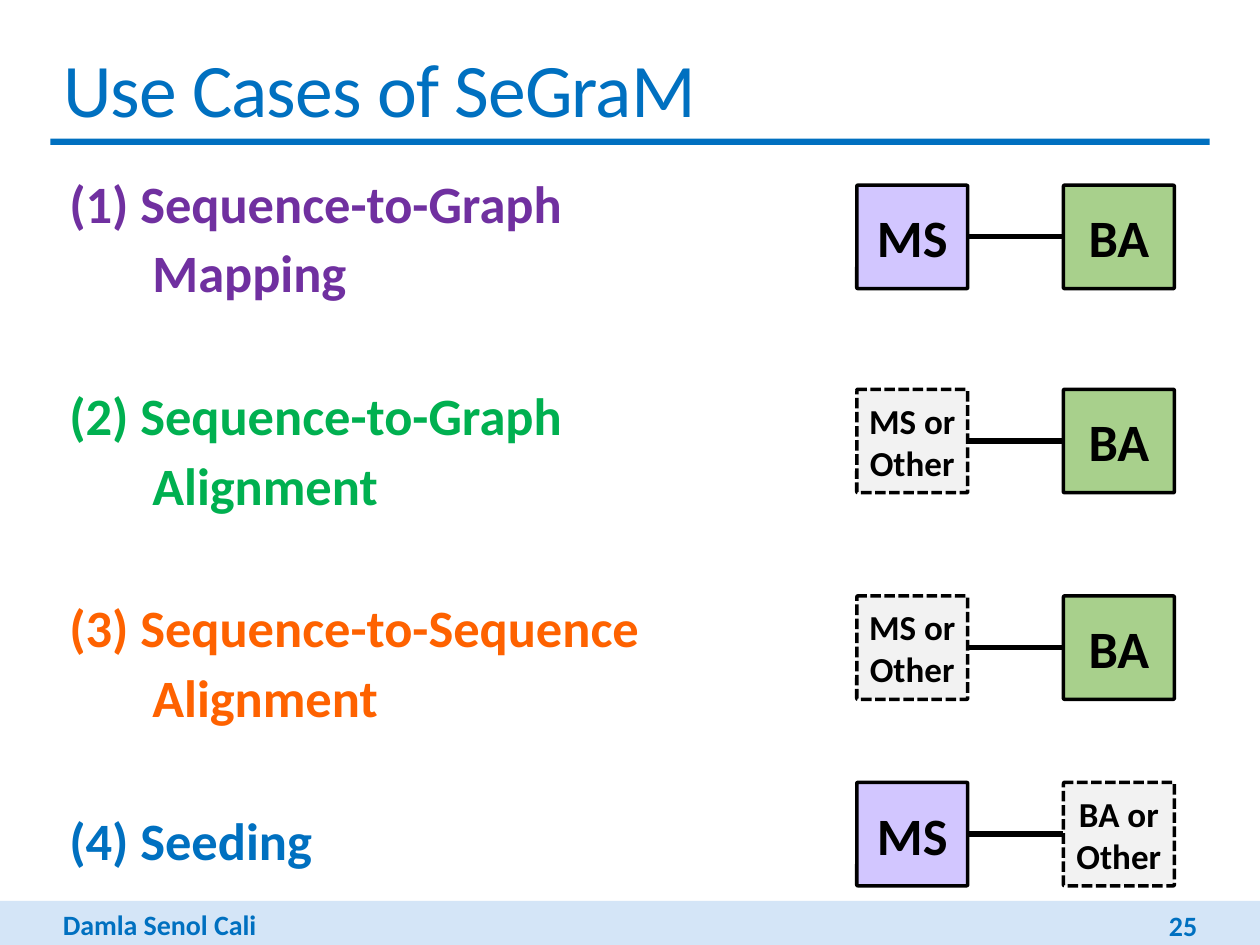
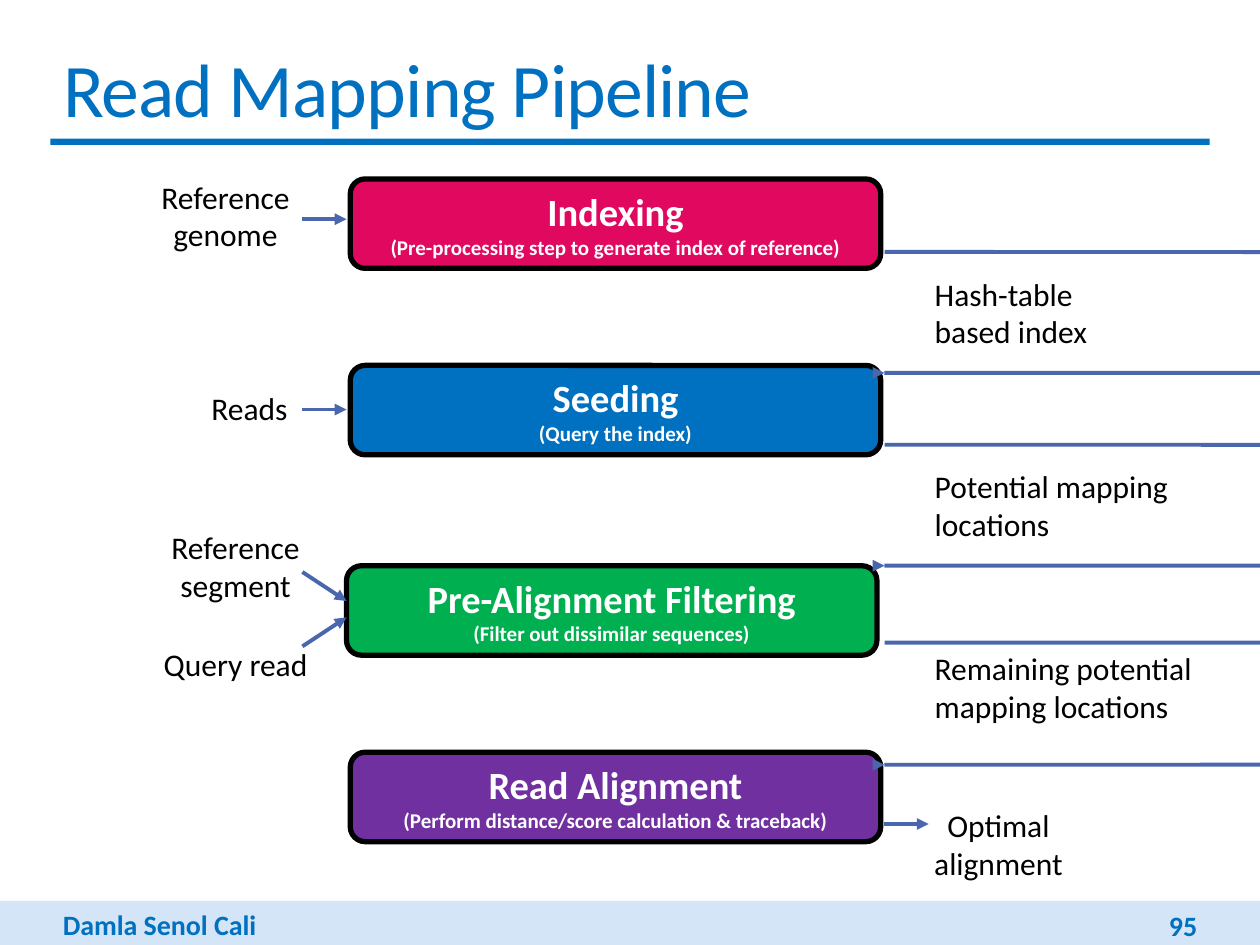
"""Build two slides: use cases of SeGraM and the read mapping pipeline."""
from lxml import etree
from pptx import Presentation
from pptx.dml.color import RGBColor
from pptx.enum.dml import MSO_LINE
from pptx.enum.shapes import MSO_CONNECTOR as CONNECTOR, MSO_SHAPE as SHAPE
from pptx.enum.text import MSO_ANCHOR as ANCHOR, PP_ALIGN as ALIGN
from pptx.oxml.ns import qn
from pptx.util import Emu, Inches, Pt

FONT = "Calibri"
BLACK, WHITE = "000000", "FFFFFF"
BLUE, BAND = "0070C0", "D4E5F7"
PURPLE, GREEN, ORANGE, PINK = "7030A0", "00B050", "FE6200", "E0085F"
LILAC, SAGE, GREY = "D2C6FF", "A8D08C", "F2F2F2"
ARROW = "4A66AC"

USE_CASES = [
    ("(1) Sequence-to-Graph", "Mapping", PURPLE),
    ("(2) Sequence-to-Graph", "Alignment", GREEN),
    ("(3) Sequence-to-Sequence", "Alignment", ORANGE),
    ("(4) Seeding", None, BLUE),
]
UNIT_ROWS = [
    (1.47, "MS", "BA"),
    (3.09, "MS or\nOther", "BA"),
    (4.73, "MS or\nOther", "BA"),
    (6.21, "MS", "BA or\nOther"),
]
UNIT_FILLS = {"MS": LILAC, "BA": SAGE}
UNIT_LEFTS = (6.8, 8.44)
UNIT_WIDTH, UNIT_HEIGHT = 0.88, 0.82

STAGES = [
    (2.78, 1.42, "Indexing", "(Pre-processing step to generate index of reference)", PINK),
    (2.78, 2.9, "Seeding", "(Query the index)", BLUE),
    (2.75, 4.49, "Pre-Alignment Filtering", "(Filter out dissimilar sequences)", GREEN),
    (2.78, 5.97, "Read Alignment", "(Perform distance/score calculation & traceback)", PURPLE),
]
INPUT_LABELS = [
    (1.05, 1.36, "Reference genome"),
    (1.24, 3.04, "Reads"),
    (1.13, 4.14, "Reference\nsegment"),
    (1.13, 5.07, "Query read"),
]
RESULT_LABELS = [
    (2.13, 1.7, "Hash-table based index"),
    (3.66, 2.1, "Potential mapping\nlocations"),
    (5.1, 2.26, "Remaining potential mapping locations"),
]
INPUT_ARROWS = [(1.74, 1.74), (3.25, 3.25), (4.54, 4.77), (5.13, 4.9)]
HANDOVERS = [(2, 2.96), (3.53, 4.49), (5.1, 6.07)]
OUTPUT_X = 7.02
LOOP_WIDTH, LOOP_BULGE = Emu(3), Inches(0.25)


def color(hex_value):
    """Turn a hex string into a colour."""
    return RGBColor.from_string(hex_value)


def style(paragraph, size, hex_value, bold=False, align=ALIGN.LEFT):
    """Set the font and alignment of a paragraph."""
    paragraph.alignment = align
    font = paragraph.font
    font.name, font.size, font.bold = FONT, Pt(size), bold
    font.color.rgb = color(hex_value)


def fill_text(frame, text, size, hex_value, bold=False, align=ALIGN.LEFT, anchor=ANCHOR.TOP):
    """Write text into a frame, one paragraph per line, in one style."""
    frame.word_wrap = True
    frame.vertical_anchor = anchor
    frame.text = text
    for paragraph in frame.paragraphs:
        style(paragraph, size, hex_value, bold, align)


def add_label(slide, box, text, size=18, hex_value=BLACK, **options):
    """Add a text box at (left, top, width, height)."""
    label = slide.shapes.add_textbox(*map(Inches, box))
    fill_text(label.text_frame, text, size, hex_value, **options)


def add_block(slide, kind, box, fill, line_width=0):
    """Add a filled shape, with a black outline if a width is given."""
    block = slide.shapes.add_shape(kind, *map(Inches, box))
    block.shadow.inherit = False
    block.fill.solid()
    block.fill.fore_color.rgb = color(fill)
    if line_width:
        block.line.color.rgb = color(BLACK)
        block.line.width = Pt(line_width)
    else:
        block.line.fill.background()
    return block


def add_line(slide, start, end, hex_value, width, kind=CONNECTOR.STRAIGHT, arrow=False):
    """Connect two points given as lengths, with an optional arrowhead."""
    line = slide.shapes.add_connector(kind, *start, *end)
    line.line.color.rgb = color(hex_value)
    line.line.width = Pt(width)
    if arrow:
        etree.SubElement(line.line._get_or_add_ln(), qn("a:tailEnd"), type="triangle")
    etree.SubElement(line._element.spPr, qn("a:effectLst"))
    return line


def add_arrow(slide, start, end):
    """Add a straight arrow between two points in inches."""
    add_line(slide, map(Inches, start), map(Inches, end), ARROW, 2.25, arrow=True)


def add_handover(slide, top, bottom):
    """Add a curved arrow that leaves a stage and returns to the next one."""
    left = Inches(OUTPUT_X)
    curve = add_line(slide, (left + LOOP_WIDTH, Inches(top)), (left, Inches(bottom)),
                     ARROW, 2.25, CONNECTOR.CURVE, arrow=True)
    geometry = curve._element.spPr.find(qn("a:prstGeom"))
    guides = geometry.find(qn("a:avLst"))
    if guides is None:
        guides = etree.SubElement(geometry, qn("a:avLst"))
    bulge = -LOOP_BULGE * 100000 // LOOP_WIDTH
    etree.SubElement(guides, qn("a:gd"), name="adj1", fmla=f"val {bulge}")


def add_titled_slide(presentation, title_text, number):
    """Add a slide with the shared title, rule and footer."""
    slide = presentation.slides.add_slide(presentation.slide_layouts[5])
    add_block(slide, SHAPE.RECTANGLE, (0, 7.15, 10, 0.41), BAND)
    add_block(slide, SHAPE.RECTANGLE, (0.4, 1.1, 9.2, 0.05), BLUE)
    add_label(slide, (0.4, 7.15, 2.5, 0.37), "Damla Senol Cali", 16, BLUE, bold=True)
    add_label(slide, (8.22, 7.19, 1.38, 0.3), number, 16, BLUE, bold=True,
              align=ALIGN.RIGHT, anchor=ANCHOR.MIDDLE)
    title = slide.shapes.title
    title.left, title.top, title.width, title.height = map(Inches, (0.4, 0.28, 9.2, 0.82))
    fill_text(title.text_frame, title_text, 43.2, BLUE, anchor=ANCHOR.MIDDLE)
    title.text_frame.paragraphs[0].runs[0].font._element.set("spc", "-50")
    return slide


def add_use_case_list(slide):
    """List the use cases, each with an indented second line."""
    box = slide.shapes.add_textbox(*map(Inches, (0.4, 1.26, 5, 5.77)))
    frame = box.text_frame
    frame.word_wrap = True
    frame.margin_left = frame.margin_right = 0
    lines = [(text, indent, hex_value)
             for heading, detail, hex_value in USE_CASES
             for text, indent in ((heading, 0.15), (detail, 0.81)) if text]
    frame.text = "\n".join(text for text, _, _ in lines)
    for index, (paragraph, (_, indent, hex_value)) in enumerate(zip(frame.paragraphs, lines)):
        paragraph._p.get_or_add_pPr().set("marL", str(Inches(indent)))
        paragraph.line_spacing = 1.1
        if index and indent == 0.15:
            paragraph.space_before = Pt(42)
        style(paragraph, 30, hex_value, bold=True)


def add_unit(slide, left, top, name):
    """Add a hardware unit; one that can be replaced is grey and dashed."""
    unit = add_block(slide, SHAPE.ROUNDED_RECTANGLE, (left, top, UNIT_WIDTH, UNIT_HEIGHT),
                     UNIT_FILLS.get(name, GREY), 2)
    unit.adjustments[0] = 0.01
    replaceable = name not in UNIT_FILLS
    if replaceable:
        unit.line.dash_style = MSO_LINE.SQUARE_DOT
    frame = unit.text_frame
    frame.margin_left = frame.margin_right = Inches(0.05)
    frame.margin_top = frame.margin_bottom = Inches(0.03)
    fill_text(frame, name, 20 if replaceable else 30, BLACK, True, ALIGN.CENTER, ANCHOR.MIDDLE)


def add_unit_row(slide, top, *names):
    """Add a pair of linked units."""
    for left, name in zip(UNIT_LEFTS, names):
        add_unit(slide, left, top, name)
    middle = Inches(top + UNIT_HEIGHT / 2)
    add_line(slide, (Inches(UNIT_LEFTS[0] + UNIT_WIDTH), middle),
             (Inches(UNIT_LEFTS[1]), middle), BLACK, 3)


def add_stage(slide, left, top, name, detail, fill):
    """Add a pipeline stage with its name and a smaller explanation."""
    stage = add_block(slide, SHAPE.ROUNDED_RECTANGLE, (left, top, 4.21, 0.71), fill, 3)
    frame = stage.text_frame
    fill_text(frame, f"{name}\n{detail}", 22, WHITE, True, ALIGN.CENTER, ANCHOR.MIDDLE)
    frame.paragraphs[1].font.size = Pt(12)


def build_use_cases(presentation):
    """Build the slide on the use cases."""
    slide = add_titled_slide(presentation, "Use Cases of SeGraM", "25")
    add_use_case_list(slide)
    for row in UNIT_ROWS:
        add_unit_row(slide, *row)


def build_pipeline(presentation):
    """Build the slide on the read mapping pipeline."""
    slide = add_titled_slide(presentation, "Read Mapping Pipeline", "95")
    for stage in STAGES:
        add_stage(slide, *stage)
    for left, top, text in INPUT_LABELS:
        add_label(slide, (left, top, 1.48, 0.65), text, align=ALIGN.CENTER)
    for top, width, text in RESULT_LABELS:
        add_label(slide, (7.32, top, width, 0.69), text)
    add_label(slide, (6.96, 6.35, 1.93, 0.63), "Optimal alignment", align=ALIGN.CENTER)
    for start_y, end_y in INPUT_ARROWS:
        add_arrow(slide, (2.4, start_y), (2.75, end_y))
    add_arrow(slide, (OUTPUT_X, 6.54), (OUTPUT_X + 0.35, 6.54))
    for top, bottom in HANDOVERS:
        add_handover(slide, top, bottom)


def main():
    """Create the presentation and save it."""
    presentation = Presentation()
    presentation.slide_width, presentation.slide_height = Inches(10), Inches(7.5)
    build_use_cases(presentation)
    build_pipeline(presentation)
    presentation.save("out.pptx")


if __name__ == "__main__":
    main()
